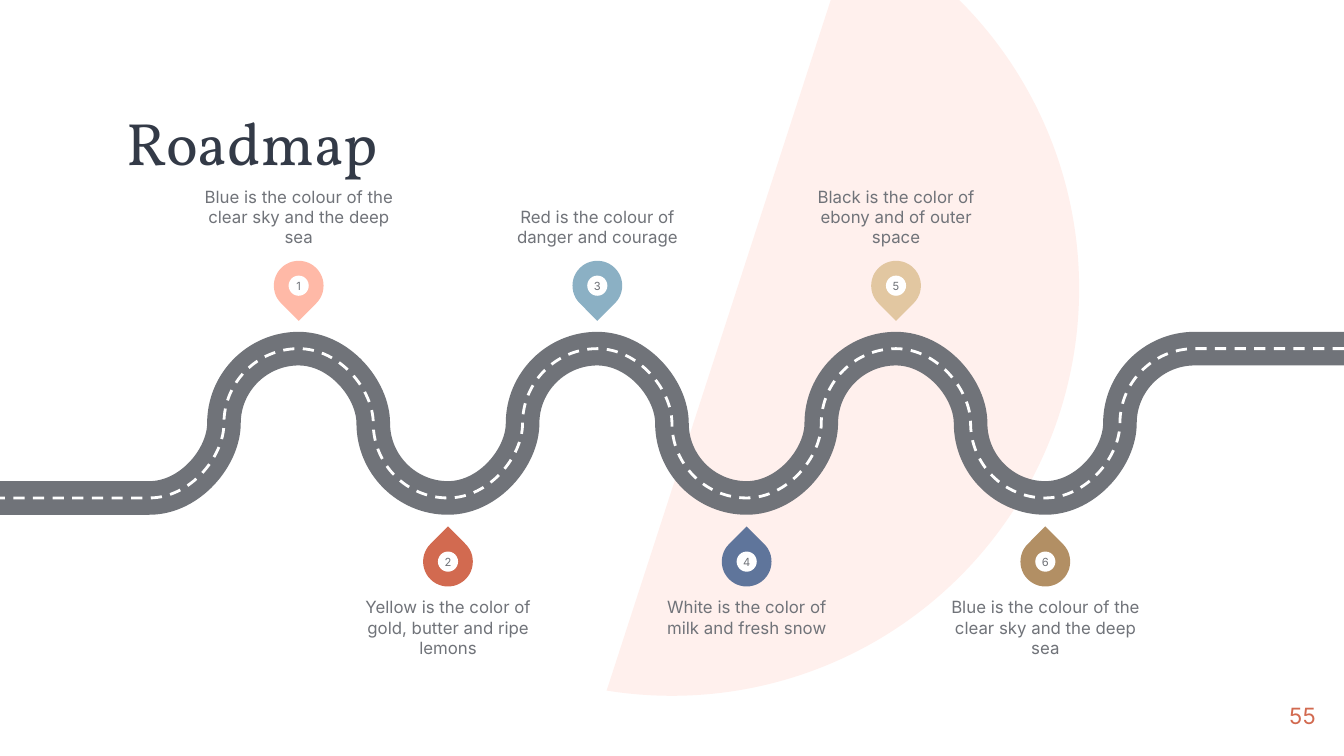
import math
from lxml import etree
from pptx import Presentation, util as u
from pptx.dml.color import RGBColor
from pptx.enum import dml, shapes, text

W, H = u.Inches(10), u.Inches(5.625)
COL = W / 18            # one column is also the radius of a road bend
MID = 0.56 * H          # height of the road's centre line
HEX = {"disc": "FFF0ED", "ink": "333A47", "grey": "707379",
       "white": "FFFFFF", "page": "D26A50"}
STOPS = [
    ("FFB9A7", "Blue is the colour of the clear sky and the deep sea"),
    ("D26A50", "Yellow is the color of gold, butter and ripe lemons"),
    ("8BB0C4", "Red is the colour of danger and courage"),
    ("5F759B", "White is the color of milk and fresh snow"),
    ("E2C7A1", "Black is the color of ebony and of outer space"),
    ("B28F64", "Blue is the colour of the clear sky and the deep sea"),
]
MSO = shapes.MSO_SHAPE
ALIGN, ANCHOR = text.PP_ALIGN, text.MSO_ANCHOR


def add(home, kind, mid, top, wide, high, fill):
    """Add a plain filled shape centred on the x position mid."""
    part = home.add_shape(kind, int(mid - wide / 2), int(top), int(wide), int(high))
    part.shadow.inherit = False
    part.fill.solid()
    part.fill.fore_color.rgb = RGBColor.from_string(fill)
    part.line.fill.background()
    return part


def write(box, words, size, tint, align, anchor, face="Inter"):
    frame = box.text_frame
    frame.margin_left = frame.margin_right = 0
    frame.margin_top = frame.margin_bottom = 0
    frame.word_wrap = True
    frame.vertical_anchor = anchor
    para = frame.paragraphs[0]
    para.alignment = align
    run = para.add_run()
    run.text = words
    run.font.size = u.Pt(size)
    run.font.name = face
    run.font.color.rgb = RGBColor.from_string(HEX[tint])
    return para


deck = Presentation()
deck.slide_width, deck.slide_height = W, H
slide = deck.slides.add_slide(deck.slide_layouts[5])
tree = slide.shapes

# Background disc, cut off above the slide
disc = add(tree, MSO.CHORD, W / 2, -0.157 * H, 0.606 * W, 0.606 * W, HEX["disc"])
disc.rotation = 270
for i, deg in enumerate((26.74, 189.22)):
    disc.adjustments[i] = deg * 0.6
tree._spTree.insert(2, disc._element)

title = tree.title
title.left, title.top = int(0.094 * W), int(0.146 * H)
title.width, title.height = int(0.498 * W), int(0.094 * H)
head = write(title, "Roadmap", 32, "ink", ALIGN.LEFT, ANCHOR.MIDDLE, "Vollkorn")
head.line_spacing = 0.9

page = tree.add_textbox(int(0.919 * W), int(0.908 * H), int(0.06 * W), int(0.076 * H))
write(page, "55", 12, "page", ALIGN.RIGHT, ANCHOR.MIDDLE)

# Road in columns: straight ends joined by quarter bends, each a cubic curve
BEND = 0.55
road = [(0, 1), (0, 1), (2, 1), (2, 1)]
for x in range(2, 16):
    y, end = (round(math.cos(math.pi / 2 * (k - 2))) for k in (x, x + 1))
    if x % 2 == 0:
        road += [(x + BEND, y), (x + 1, y * (1 - BEND))]
    else:
        road += [(x, end * BEND), (x + 1 - BEND, end)]
    road.append((x + 1, end))
road += [(16, -1), (18, -1), (18, -1)]
spots = [(round(x * COL), round(MID + y * COL)) for x, y in reversed(road)]

for tint, width, dash in (("grey", 18, None), ("white", 1.5, dml.MSO_LINE.DASH)):
    pen = tree.build_freeform(*spots[0])
    pen.add_line_segments(spots[1:], close=False)
    lane = pen.convert_to_shape()
    lane.shadow.inherit = False
    lane.fill.background()
    lane.line.color.rgb = RGBColor.from_string(HEX[tint])
    lane.line.width = u.Pt(width)
    lane.line.dash_style = dash
    trail = lane._element.xpath(".//a:path")[0]
    steps = list(trail)[1:]
    for i in range(0, len(steps), 3):
        curve = etree.SubElement(trail, steps[i].tag.replace("lnTo", "cubicBezTo"))
        for step in steps[i:i + 3]:
            curve.append(step[0])
            trail.remove(step)

# Pins stand above the crests and hang below the dips
PIN, DOT = 0.037 * W, 0.015 * W
for i, (fill, words) in enumerate(STOPS):
    mid = (4 + 2 * i) * COL
    up = i % 2 == 0
    top = (0.345 if up else 0.71) * H
    group = tree.add_group_shape()
    drop = add(group.shapes, MSO.TEAR, mid, top, PIN, PIN, fill)
    drop.rotation = 135 if up else 315
    dot = add(group.shapes, MSO.OVAL, mid, top + (PIN - DOT) / 2, DOT, DOT, HEX["white"])
    write(dot, str(i + 1), 6, "grey", ALIGN.CENTER, ANCHOR.MIDDLE)
    wide = 0.141 * W
    note = tree.add_textbox(int(mid - wide / 2), int((0.224 if up else 0.79) * H),
                            int(wide), int(0.103 * H))
    write(note, words, 9, "grey", ALIGN.CENTER, ANCHOR.BOTTOM if up else ANCHOR.TOP)

deck.save("out.pptx")
